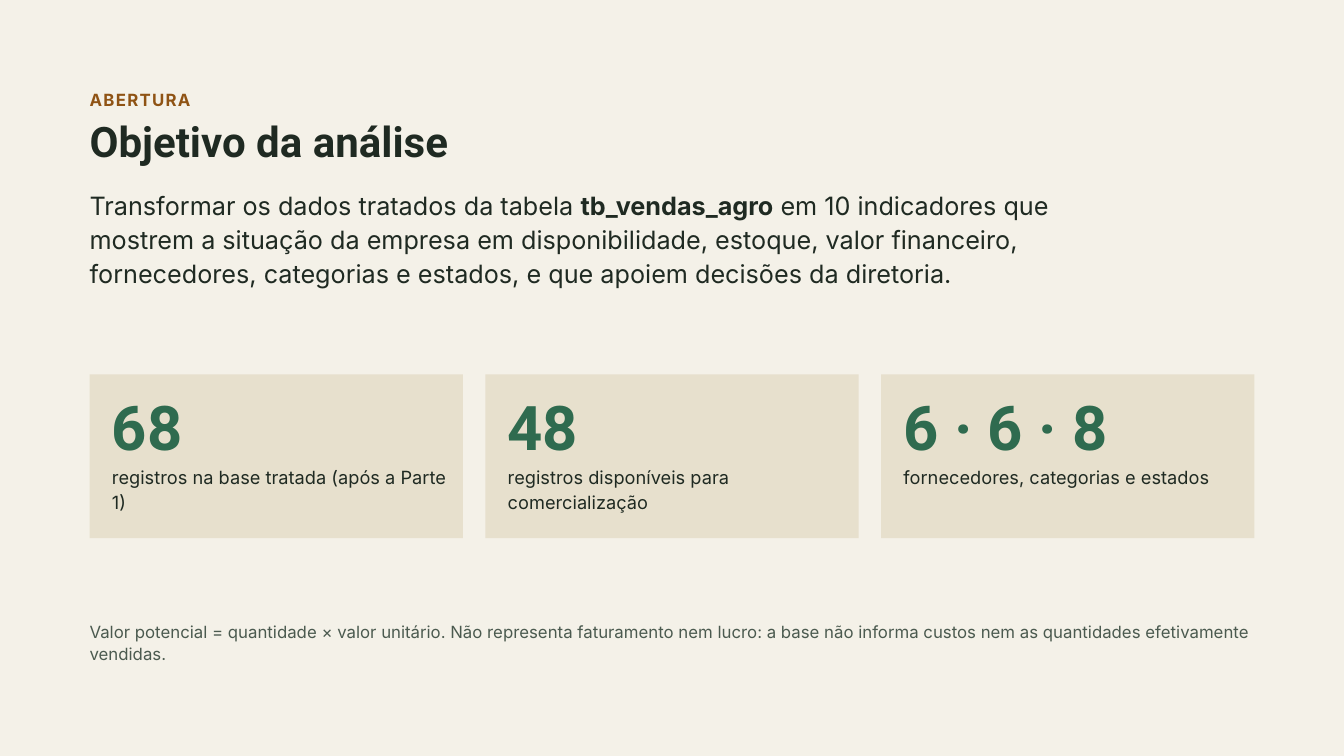
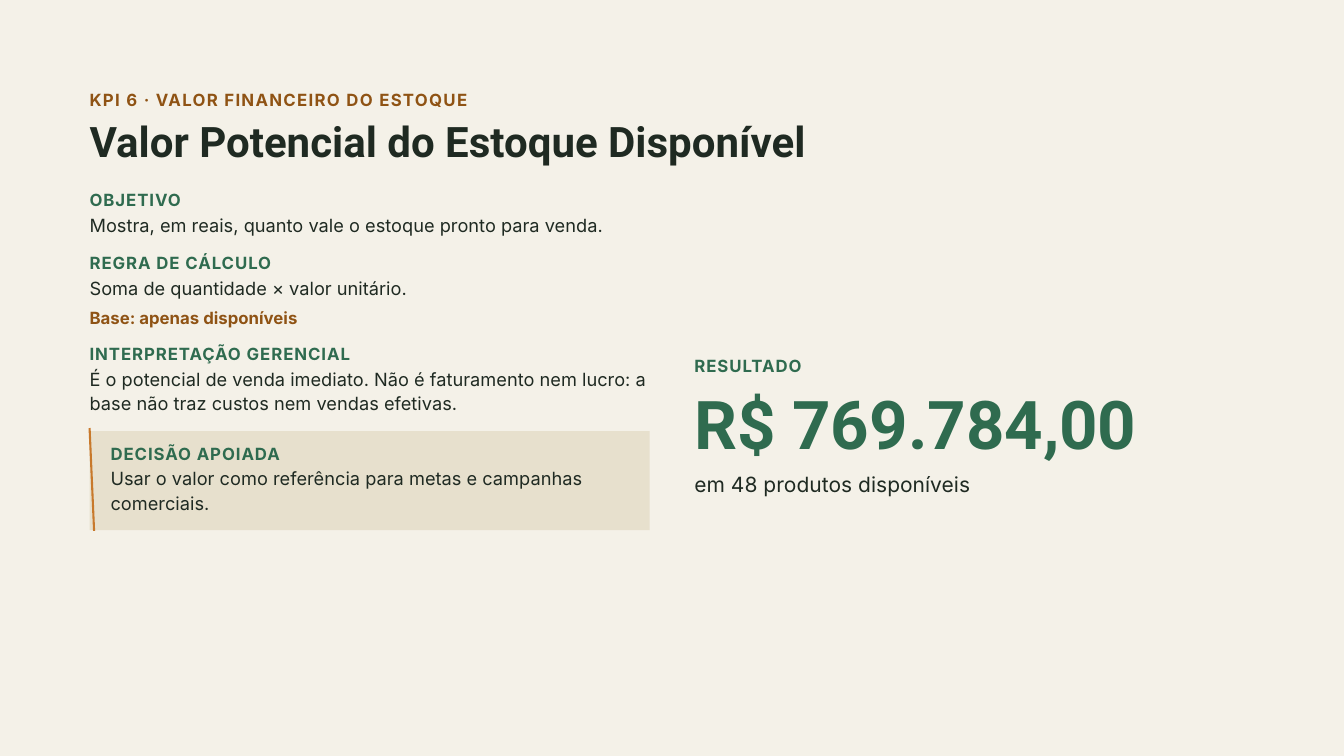
"""Builds two slides of a sales KPI deck: the objective and one indicator."""
from typing import NamedTuple

from lxml import etree
from pptx import Presentation
from pptx.dml.color import RGBColor
from pptx.enum.shapes import MSO_CONNECTOR, MSO_SHAPE
from pptx.enum.text import MSO_ANCHOR, MSO_AUTO_SIZE, PP_ALIGN
from pptx.oxml.ns import qn
from pptx.util import Pt

RECTANGLE = MSO_SHAPE.RECTANGLE
STRAIGHT = MSO_CONNECTOR.STRAIGHT
TOP, LEFT_ALIGN, NO_FIT = MSO_ANCHOR.TOP, PP_ALIGN.LEFT, MSO_AUTO_SIZE.NONE

PAPER, SAND, INK, GRAY = "F4F1E8", "E7E0CD", "1F2A22", "4B5A4F"
GREEN, BROWN, ORANGE = "2F6B4F", "8F5314", "C8792B"

MARGIN = 96
FULL_WIDTH = 1285
COLUMN_WIDTH = 618
RESULT_LEFT = 744
TITLE_ONLY = 5


class Style(NamedTuple):
    """Look of one kind of text."""
    size: float
    leading: float
    color: str = INK
    bold: bool = False
    font: str = "Inter"
    tracking: float = 0


KICKER = Style(18, 21.6, BROWN, True, tracking=1.4)
TITLE = Style(45, 49.5, bold=True, font="Roboto")
LEAD = Style(27, 36.5)
LABEL = Style(18, 21.6, GREEN, True, tracking=1)
BODY = Style(19.5, 26.3)
BASIS = Style(18, 24.3, BROWN, True)
NOTE = Style(18, 24.3, GRAY)
CARD_FIGURE = Style(66, 75.9, GREEN, True, "Roboto")
RESULT_FIGURE = Style(72, 82.8, GREEN, True, "Roboto")
RESULT_NOTE = Style(22.5, 30.4)


def rgb(color):
    """Turn a hex string into a colour."""
    return RGBColor.from_string(color)


def add_span(para, text, style):
    """Add one run in the given style."""
    span = para.add_run()
    span.text = text
    span.font.name = style.font
    span.font.size = Pt(style.size)
    span.font.bold = style.bold
    span.font.color.rgb = rgb(style.color)
    if style.tracking:
        span.font._element.set("spc", str(round(style.tracking * 100)))


def fill_frame(box, spans, style):
    """Write spans into a box without insets."""
    frame = box.text_frame
    frame.margin_left = frame.margin_right = 0
    frame.margin_top = frame.margin_bottom = 0
    frame.word_wrap = True
    frame.auto_size = NO_FIT
    frame.vertical_anchor = TOP
    para = frame.paragraphs[0]
    para.alignment = LEFT_ALIGN
    para.line_spacing = Pt(style.leading)
    for text, bold in spans:
        add_span(para, text, style._replace(bold=bold))


def add_text(page, text, style, left, top, width, lines=1):
    """Add a text box that holds one paragraph."""
    height = style.leading * lines + 4
    box = page.shapes.add_textbox(Pt(left), Pt(top), Pt(width), Pt(height))
    spans = [(text, style.bold)] if isinstance(text, str) else text
    fill_frame(box, spans, style)


def add_panel(page, left, top, width, height):
    """Add a plain sand-coloured rectangle."""
    panel = page.shapes.add_shape(
        RECTANGLE, Pt(left), Pt(top), Pt(width), Pt(height))
    panel.shadow.inherit = False
    panel.fill.solid()
    panel.fill.fore_color.rgb = rgb(SAND)
    panel.line.fill.background()


def add_accent(page, left, top, right, bottom):
    """Add the thin orange line beside a panel."""
    accent = page.shapes.add_connector(
        STRAIGHT, Pt(left), Pt(top), Pt(right), Pt(bottom))
    accent.line.color.rgb = rgb(ORANGE)
    accent.line.width = Pt(2.25)
    etree.SubElement(accent._element.spPr, qn("a:effectLst"))


def add_page(deck, kicker, title):
    """Add a page with its kicker and title."""
    page = deck.slides.add_slide(deck.slide_layouts[TITLE_ONLY])
    add_text(page, kicker, KICKER, MARGIN, 96, FULL_WIDTH)
    heading = page.shapes.title
    heading.left, heading.top = Pt(MARGIN), Pt(128)
    heading.width, heading.height = Pt(FULL_WIDTH), Pt(51)
    fill_frame(heading, [(title, True)], TITLE)
    return page


def add_card(page, left, figure, caption, lines):
    """Add a panel with a large figure and its caption."""
    add_panel(page, left, 401, 400, 175.5)
    add_text(page, figure, CARD_FIGURE, left + 24, 420.5, 363)
    add_text(page, caption, BODY, left + 24, 497, 363, lines)


def add_section(page, left, top, width, label, text, lines=1):
    """Add a green label with body text under it."""
    add_text(page, label, LABEL, left, top, width)
    add_text(page, text, BODY, left, top + 23.3, width, lines)


def build_objective(deck):
    """Build the opening page."""
    page = add_page(deck, "ABERTURA", "Objetivo da análise")
    lead = [
        ("Transformar os dados tratados da tabela ", False),
        ("tb_vendas_agro", True),
        (" em 10 indicadores que mostrem a situação da empresa em "
         "disponibilidade, estoque, valor financeiro, fornecedores, "
         "categorias e estados, e que apoiem decisões da diretoria.", False),
    ]
    add_text(page, lead, LEAD, MARGIN, 200, 1081, 3)
    cards = [
        ("68", "registros na base tratada (após a Parte 1)", 2),
        ("48", "registros disponíveis para comercialização", 2),
        ("6 · 6 · 8", "fornecedores, categorias e estados", 1),
    ]
    for index, card in enumerate(cards):
        add_card(page, MARGIN + index * 424, *card)
    add_text(page,
             "Valor potencial = quantidade × valor unitário. Não representa "
             "faturamento nem lucro: a base não informa custos nem as "
             "quantidades efetivamente vendidas.",
             NOTE, MARGIN, 663, FULL_WIDTH, 2)


def build_stock_value(deck):
    """Build the page on the potential value of stock."""
    page = add_page(deck, "KPI 6 · VALOR FINANCEIRO DO ESTOQUE",
                    "Valor Potencial do Estoque Disponível")
    sections = [
        (203, "OBJETIVO",
         "Mostra, em reais, quanto vale o estoque pronto para venda.", 1),
        (270.5, "REGRA DE CÁLCULO",
         "Soma de quantidade × valor unitário.", 1),
        (368, "INTERPRETAÇÃO GERENCIAL",
         "É o potencial de venda imediato. Não é faturamento nem lucro: "
         "a base não traz custos nem vendas efetivas.", 2),
    ]
    for top, label, text, lines in sections:
        add_section(page, MARGIN, top, COLUMN_WIDTH, label, text, lines)
    add_text(page, "Base: apenas disponíveis", BASIS,
             MARGIN, 327, COLUMN_WIDTH)

    add_panel(page, MARGIN, 462, 600, 106)
    add_accent(page, MARGIN, 458.6, 100.8, 568.8)
    add_section(page, 118.5, 475, 576, "DECISÃO APOIADA",
                "Usar o valor como referência para metas e campanhas "
                "comerciais.", 2)

    add_text(page, "RESULTADO", LABEL, RESULT_LEFT, 381.5, COLUMN_WIDTH)
    add_text(page, "R$ 769.784,00", RESULT_FIGURE,
             RESULT_LEFT, 413.5, COLUMN_WIDTH)
    add_text(page, "em 48 produtos disponíveis", RESULT_NOTE,
             RESULT_LEFT, 502, COLUMN_WIDTH)


def main():
    """Build and save the deck."""
    deck = Presentation()
    deck.slide_width, deck.slide_height = Pt(1440), Pt(810)
    backdrop = deck.slide_master.background.fill
    backdrop.solid()
    backdrop.fore_color.rgb = rgb(PAPER)
    build_objective(deck)
    build_stock_value(deck)
    deck.save("out.pptx")


if __name__ == "__main__":
    main()
